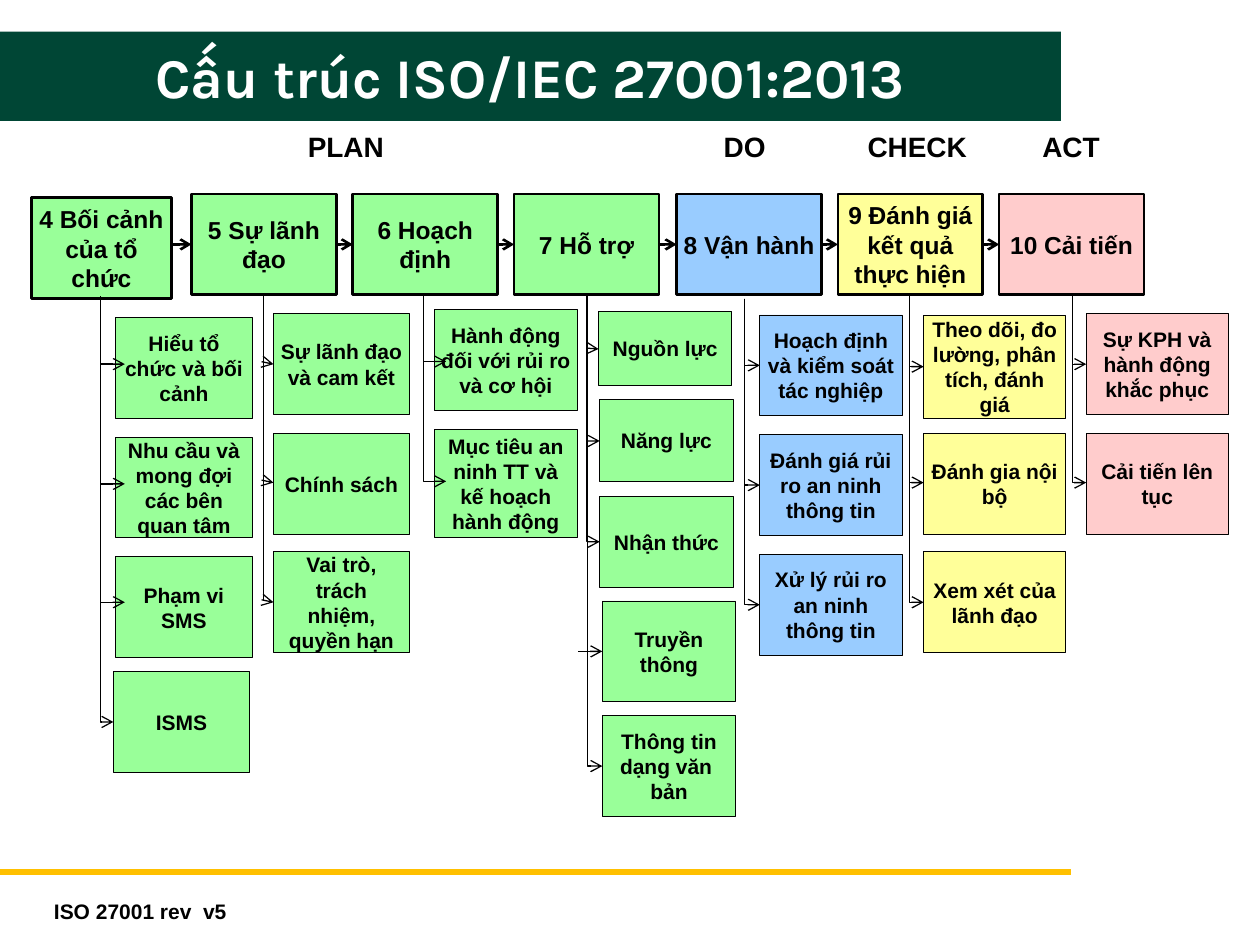
"""Build the ISO/IEC 27001:2013 structure slide."""
from dataclasses import dataclass

from lxml.etree import SubElement as Sub
from pptx import Presentation
from pptx.dml.color import RGBColor as Rgb
from pptx.enum.shapes import MSO_CONNECTOR as Conn, MSO_SHAPE as Form
from pptx.enum.text import MSO_ANCHOR as Anchor, PP_ALIGN as Align
from pptx.oxml.ns import qn
from pptx.util import Pt


@dataclass(frozen=True)
class Theme:
    green: str = "99FF99"
    blue: str = "99CCFF"
    yellow: str = "FFFF99"
    pink: str = "FFCCCC"
    dark: str = "004635"
    gold: str = "FFC000"
    ink: str = "000000"
    white: str = "FFFFFF"
    body: str = "Arial"
    head: str = "Karla"
    title: int = 32
    label: int = 16
    step: int = 14
    item: int = 12


T = Theme()
PX = 9144

deck = Presentation()
deck.slide_width, deck.slide_height = 1000 * PX, 750 * PX
slide = deck.slides.add_slide(deck.slide_layouts[5])
shapes = slide.shapes


def dress(shape, text, size, fill=None, edge=0, inset=5, font=T.body,
          ink=T.ink, align=Align.CENTER, anchor=Anchor.MIDDLE, wrap=True):
    shape.shadow.inherit = False
    if fill:
        shape.fill.solid()
        shape.fill.fore_color.rgb = Rgb.from_string(fill)
    if edge:
        shape.line.color.rgb = Rgb.from_string(T.ink)
        shape.line.width = Pt(edge)
    frame = shape.text_frame
    frame.word_wrap = wrap
    frame.vertical_anchor = anchor
    frame.margin_left = frame.margin_right = inset * PX
    frame.margin_top = frame.margin_bottom = 5 * PX
    para = frame.paragraphs[0]
    para.alignment = align
    run = para.add_run()
    run.text = text
    run.font.name, run.font.size, run.font.bold = font, Pt(size), True
    run.font.color.rgb = Rgb.from_string(ink)


def wire(x1, y1, x2, y2, width, color=T.ink, arrow=True):
    if y1 == y2:
        line = shapes.add_connector(Conn.STRAIGHT, x1 * PX, y1 * PX, x2 * PX, y2 * PX)
    else:
        run, drop = (x2 - x1) * PX, (y2 - y1) * PX
        left = x1 * PX + (run - drop) // 2
        top = y1 * PX + (drop - run) // 2
        line = shapes.add_connector(Conn.ELBOW, left + drop, top, left, top + run)
        props = line._element.spPr
        props.find(qn("a:xfrm")).set("rot", "16200000")
        props.find(qn("a:prstGeom")).set("prst", "bentConnector2")
    line.line.color.rgb = Rgb.from_string(color)
    line.line.width = Pt(width)
    if arrow:
        Sub(line.line._get_or_add_ln(), qn("a:tailEnd"), type="arrow")
    Sub(line._element.spPr, qn("a:effectLst"))


wire(0, 692, 850, 692, 3, T.gold, False)
note = shapes.add_textbox(33 * PX, 708 * PX, 358 * PX, 30 * PX)
dress(note, "ISO 27001 rev  v5", T.item, inset=10, align=Align.LEFT, anchor=Anchor.TOP)

title = shapes.title
title.left, title.top, title.width, title.height = 0, 25 * PX, 842 * PX, 71 * PX
dress(title, "Cấu trúc ISO/IEC 27001:2013", T.title, T.dark, inset=10,
      font=T.head, ink=T.white)

labels = [(234, 81, "PLAN"), (564, 54, "DO"), (678, 100, "CHECK"), (817, 66, "ACT")]
for x, w, text in labels:
    label = shapes.add_textbox(x * PX, 98 * PX, w * PX, 37 * PX)
    dress(label, text, T.label, inset=10, anchor=Anchor.TOP, wrap=False)

# Each step: name, fill, stem x, stem top, item width, then items as
# left, top, height, arrow start y, arrow tip x, arrow tip y, text.
steps = [
    ("4 Bối cảnh của tổ chức", T.green, 80, 235, 108, [
        (92, 252, 80, 99, 289, "Hiểu tổ chức và bối cảnh"),
        (92, 347, 80, 99, 384, "Nhu cầu và mong đợi các bên quan tâm"),
        (92, 442, 80, 99, 478, "Phạm vi SMS"),
        (90, 533, 80, 90, 573, "ISMS")]),
    ("5 Sự lãnh đạo", T.green, 209, 234, 108, [
        (217, 249, 80, 217, 289, "Sự lãnh đạo và cam kết"),
        (217, 344, 80, 217, 383, "Chính sách"),
        (217, 438, 80, 217, 478, "Vai trò, trách nhiệm, quyền hạn")]),
    ("6 Hoạch định", T.green, 336, 234, 113, [
        (345, 246, 80, 354, 287, "Hành động đối với rủi ro và cơ hội"),
        (345, 341, 86, 354, 382, "Mục tiêu an ninh TT và kế hoạch hành động")]),
    ("7 Hỗ trợ", T.green, 466, 234, 106, [
        (475, 247, 59, 475, 277, "Nguồn lực"),
        (476, 317, 65, 476, 350, "Năng lực"),
        (476, 394, 72, 476, 430, "Nhận thức"),
        (478, 477, 80, 478, 517, "Truyền thông"),
        (478, 568, 80, 478, 608, "Thông tin dạng văn  bản")]),
    ("8 Vận hành", T.blue, 591, 237, 113, [
        (603, 250, 80, 603, 290, "Hoạch định và kiểm soát tác nghiệp"),
        (603, 345, 80, 603, 385, "Đánh giá rủi ro an ninh thông tin"),
        (603, 440, 80, 603, 480, "Xử lý rủi ro an ninh thông tin")]),
    ("9 Đánh giá kết quả thực hiện", T.yellow, 722, 234, 113, [
        (733, 250, 82, 733, 291, "Theo dõi, đo lường, phân tích, đánh giá"),
        (733, 344, 80, 733, 383, "Đánh gia nội bộ"),
        (733, 438, 80, 733, 478, "Xem xét của lãnh đạo")]),
    ("10 Cải tiến", T.pink, 851, 234, 113, [
        (862, 249, 80, 862, 289, "Sự KPH và hành động khắc phục"),
        (862, 344, 80, 862, 383, "Cải tiến lên tục")]),
]

end = 0
for i, (name, fill, stem, top, wide, items) in enumerate(steps):
    x, y, w = (round(23.8 + 128.2 * i), 154, 115) if i else (25, 157, 111)
    head = shapes.add_shape(Form.RECTANGLE, x * PX, y * PX, w * PX, 80 * PX)
    dress(head, name, T.step, fill, 1.5)
    if i:
        wire(end, 194, x, 194, 1.5)
    end = x + w
    for left, high, tall, tip, mid, text in items:
        item = shapes.add_shape(Form.RECTANGLE, left * PX, high * PX, wide * PX, tall * PX)
        dress(item, text, T.item, fill, 0.5)
        if text == "Truyền thông":
            wire(459, mid, tip, mid, 0.75)
        else:
            wire(stem, top, tip, mid, 0.75)

deck.save("out.pptx")
